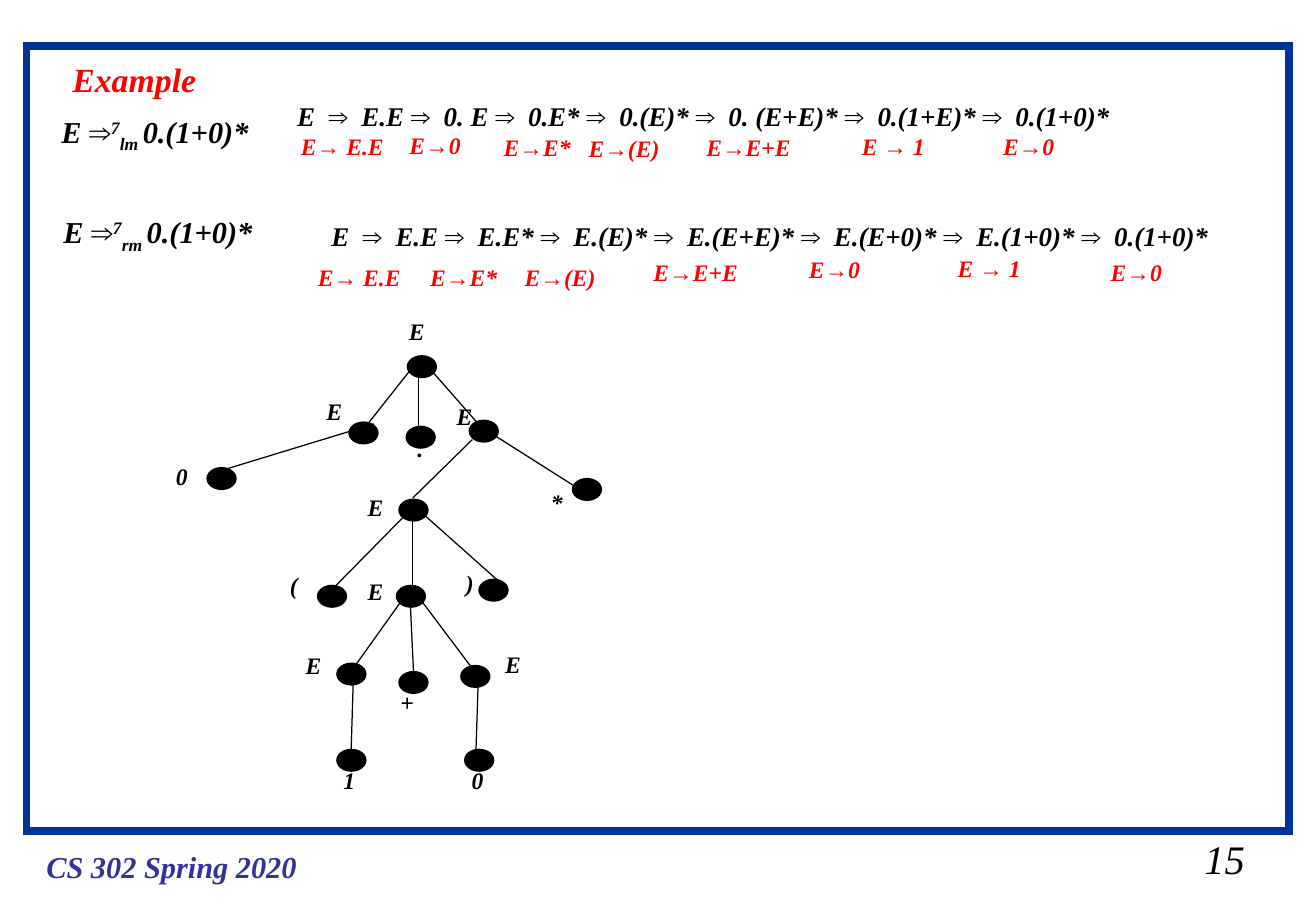
from dataclasses import dataclass
from itertools import groupby
from typing import Optional

from lxml.etree import SubElement
from pptx import Presentation
from pptx.dml.color import RGBColor
from pptx.enum.shapes import MSO_CONNECTOR as Connector, MSO_SHAPE as Shape
from pptx.enum.text import MSO_AUTO_SIZE as AutoSize
from pptx.oxml.ns import qn
from pptx.util import Pt

BLACK = RGBColor(0, 0, 0)
RED = RGBColor(0xFF, 0, 0)
FRAME_BLUE = RGBColor(0, 0x33, 0x99)
FOOTER_BLUE = RGBColor(0x33, 0x33, 0x99)
TEXT_FONT, ARROW_FONT, ARROWS = "Times New Roman", "Arial", "⇒→"
NODE_WIDTH, NODE_HEIGHT = 18, 13.7
RULE_WIDTHS = {"E→ E.E": 65, "E→0": 46, "E→E*": 56, "E→(E)": 60.5,
               "E→E+E": 68, "E → 1": 54}
LABEL_WIDTHS = {"E": 23.8, "(": 18.7, ")": 18.7, ".": 17.9, "+": 22.4}
DIGIT_LABEL_WIDTH = 21.6


@dataclass
class Derivation:
    kind: str
    claim_at: tuple[float, float]
    steps_at: tuple[float, float]
    steps_width: float
    steps: list[str]
    rules: list[tuple[str, float, float]]


@dataclass
class TreeNode:
    symbol: str
    at: tuple[float, float]
    label_at: tuple[float, float]
    edge: Optional[tuple[float, float, float, float]] = None


DERIVATIONS = [
    Derivation(
        "lm", (29.3, 63.4), (169.2, 55.4), 532.8,
        ["E ", "E.E", "0. E", "0.E*", "0.(E)*", "0. (E+E)*", "0.(1+E)*", "0.(1+0)*"],
        [("E→ E.E", 171.4, 74.5), ("E→0", 235.7, 74), ("E→E*", 291.6, 75.2),
         ("E→(E)", 342, 75.9), ("E→E+E", 411.8, 75.2), ("E → 1", 504, 74.5),
         ("E→0", 587.8, 74.5)]),
    Derivation(
        "rm", (30.5, 123.1), (189.4, 126.7), 568.8,
        ["E ", "E.E", "E.E*", "E.(E)*", "E.(E+E)*", "E.(E+0)*", "E.(1+0)*", "0.(1+0)*"],
        [("E→ E.E", 181.4, 152.2), ("E→E*", 248.1, 152.2), ("E→(E)", 304.1, 152.2),
         ("E→E+E", 380.4, 149.4), ("E→0", 472.6, 147.8), ("E → 1", 560.9, 146.9),
         ("E→0", 651.6, 149.4)]),
]

PARSE_TREE = [
    TreeNode("E", (241.2, 210.5), (235.4, 184.3)),
    TreeNode("E", (206.6, 249.8), (186.5, 231.8), (247, 214.8, 212.4, 258.5)),
    TreeNode(".", (240.5, 252.3), (240.5, 253.7), (248.4, 218.2, 248.4, 254.2)),
    TreeNode("E", (277.9, 248.7), (263.8, 234.7), (252.7, 216, 288.7, 257)),
    TreeNode("0", (122.4, 276.8), (97.2, 270.3), (221.8, 251.3, 134.6, 277.9)),
    TreeNode("E", (236.2, 295.5), (211, 288.7), (280.1, 260.6, 244.8, 295.2)),
    TreeNode("*", (339.1, 283.3), (319.7, 285.8), (283.7, 252, 342.7, 289.4)),
    TreeNode("(", (187.9, 346.6), (164.9, 334.8), (241.9, 303.8, 195.8, 350.6)),
    TreeNode("E", (234.7, 346.6), (211, 338.7), (244.8, 301, 244.8, 352.8)),
    TreeNode(")", (283.7, 343), (269.3, 333.4), (248.4, 302.4, 294.5, 343.4)),
    TreeNode("E", (199.4, 392.7), (174.2, 382.5), (240.5, 352.8, 208.1, 398.2)),
    TreeNode("+", (236.2, 397.7), (230.4, 404.2), (243.4, 358.6, 245.5, 403.2)),
    TreeNode("E", (272.9, 394.1), (292.5, 381.9), (249.1, 355, 283.7, 401)),
    TreeNode("1", (199.4, 443.8), (196.6, 450.3), (209.5, 404.6, 208.1, 450)),
    TreeNode("0", (275.2, 443.8), (272.7, 450.3), (283.7, 401.8, 282.2, 447.8)),
]


def add_text(slide, parts: list[tuple[str, int]], at: tuple[float, float],
             width: float, height: float, size: float, color: RGBColor,
             bold: bool = True, wrap: bool = False) -> None:
    """Add one line of italic text from (text, baseline percent) parts."""
    box = slide.shapes.add_textbox(Pt(at[0]), Pt(at[1]), Pt(width), Pt(height))
    text_frame = box.text_frame
    text_frame.word_wrap = wrap
    text_frame.auto_size = AutoSize.SHAPE_TO_FIT_TEXT
    paragraph = text_frame.paragraphs[0]
    for text, baseline in parts:
        for is_arrow, letters in groupby(text, lambda letter: letter in ARROWS):
            run = paragraph.add_run()
            run.text = "".join(letters)
            run.font.name = ARROW_FONT if is_arrow else TEXT_FONT
            run.font.size = Pt(size)
            run.font.bold = bold
            run.font.italic = True
            run.font.color.rgb = color
            if baseline:
                run._r.get_or_add_rPr().set("baseline", str(baseline * 1000))


def add_frame(slide) -> None:
    frame = slide.shapes.add_shape(Shape.RECTANGLE, Pt(15.8), Pt(27.4), Pt(748.8), Pt(465.1))
    frame.shadow.inherit = False
    frame.fill.background()
    frame.line.color.rgb = FRAME_BLUE
    frame.line.width = Pt(4.5)
    SubElement(frame._element.spPr.find(qn("a:ln")), qn("a:miter")).set("lim", "800000")


def add_derivation(slide, derivation: Derivation) -> None:
    claim = [("E ⇒", 0), ("7", 30), (f"{derivation.kind} ", -25), ("0.(1+0)*", 0)]
    add_text(slide, claim, derivation.claim_at, 136.4, 31.7, 18, BLACK)
    add_text(slide, [(" ⇒  ".join(derivation.steps), 0)], derivation.steps_at,
             derivation.steps_width, 26.6, 16, BLACK, wrap=True)
    for rule, left, top in derivation.rules:
        add_text(slide, [(rule, 0)], (left, top), RULE_WIDTHS[rule], 24.5, 14, RED, wrap=True)


def add_tree_node(slide, node: TreeNode) -> None:
    """Add a node with its label and the edge from its parent."""
    if node.edge:
        edge = slide.shapes.add_connector(Connector.STRAIGHT, *map(Pt, node.edge))
        edge.line.color.rgb = BLACK
        edge.line.width = Pt(0.75)
        SubElement(edge._element.spPr, qn("a:effectLst"))
    dot = slide.shapes.add_shape(Shape.OVAL, Pt(node.at[0]), Pt(node.at[1]),
                                 Pt(NODE_WIDTH), Pt(NODE_HEIGHT))
    dot.shadow.inherit = False
    dot.fill.solid()
    dot.fill.fore_color.rgb = BLACK
    dot.line.fill.background()
    width = LABEL_WIDTHS.get(node.symbol, DIGIT_LABEL_WIDTH)
    add_text(slide, [(node.symbol, 0)], node.label_at, width, 24.5, 14, BLACK)


def main() -> None:
    presentation = Presentation()
    presentation.slide_width = Pt(780.48)
    presentation.slide_height = Pt(540)
    slide = presentation.slides.add_slide(presentation.slide_layouts[6])
    add_frame(slide)
    add_text(slide, [("CS 302 Spring 2020", 0)], (20.4, 499), 162.7, 28.8, 18, FOOTER_BLUE)
    add_text(slide, [("15", 0)], (707.2, 490.6), 38.2, 36, 24, BLACK, bold=False)
    add_text(slide, [("Example", 0)], (35.8, 31), 87.8, 31.7, 20, RED)
    for derivation in DERIVATIONS:
        add_derivation(slide, derivation)
    for node in PARSE_TREE:
        add_tree_node(slide, node)
    presentation.save("out.pptx")


if __name__ == "__main__":
    main()
